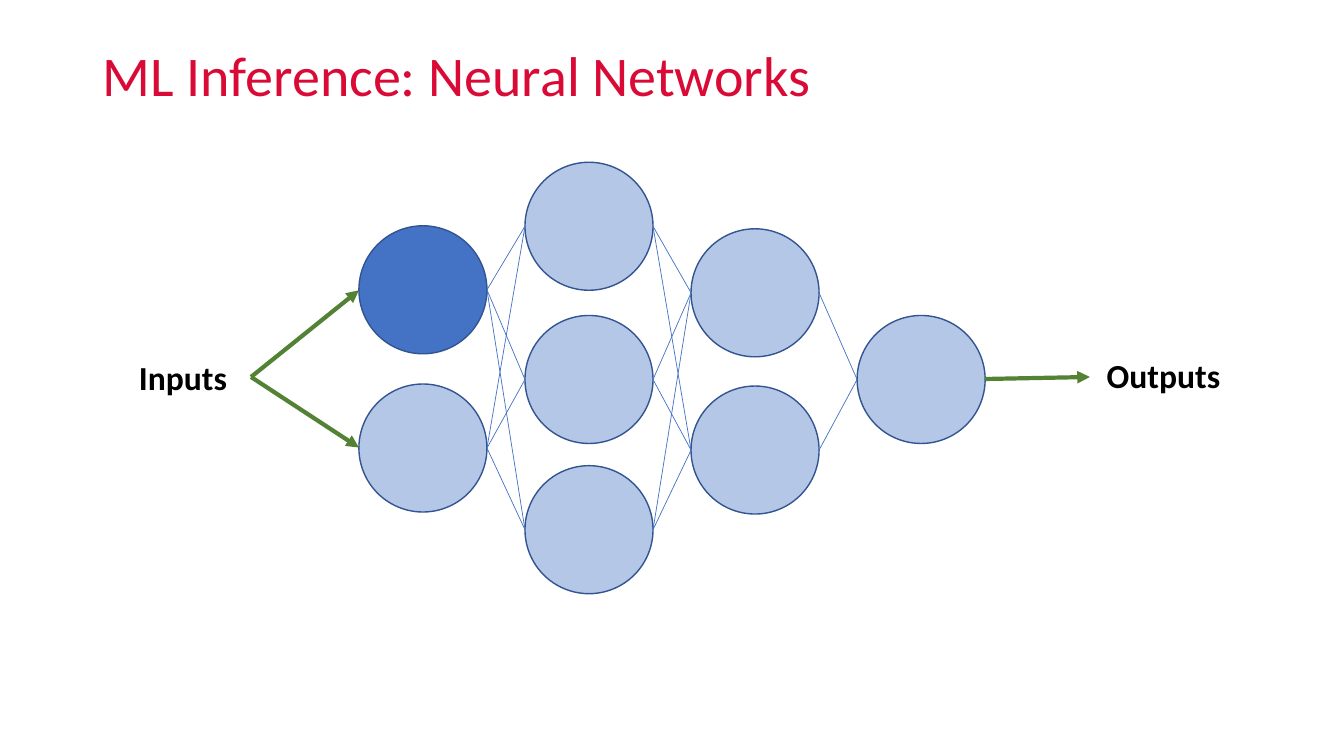
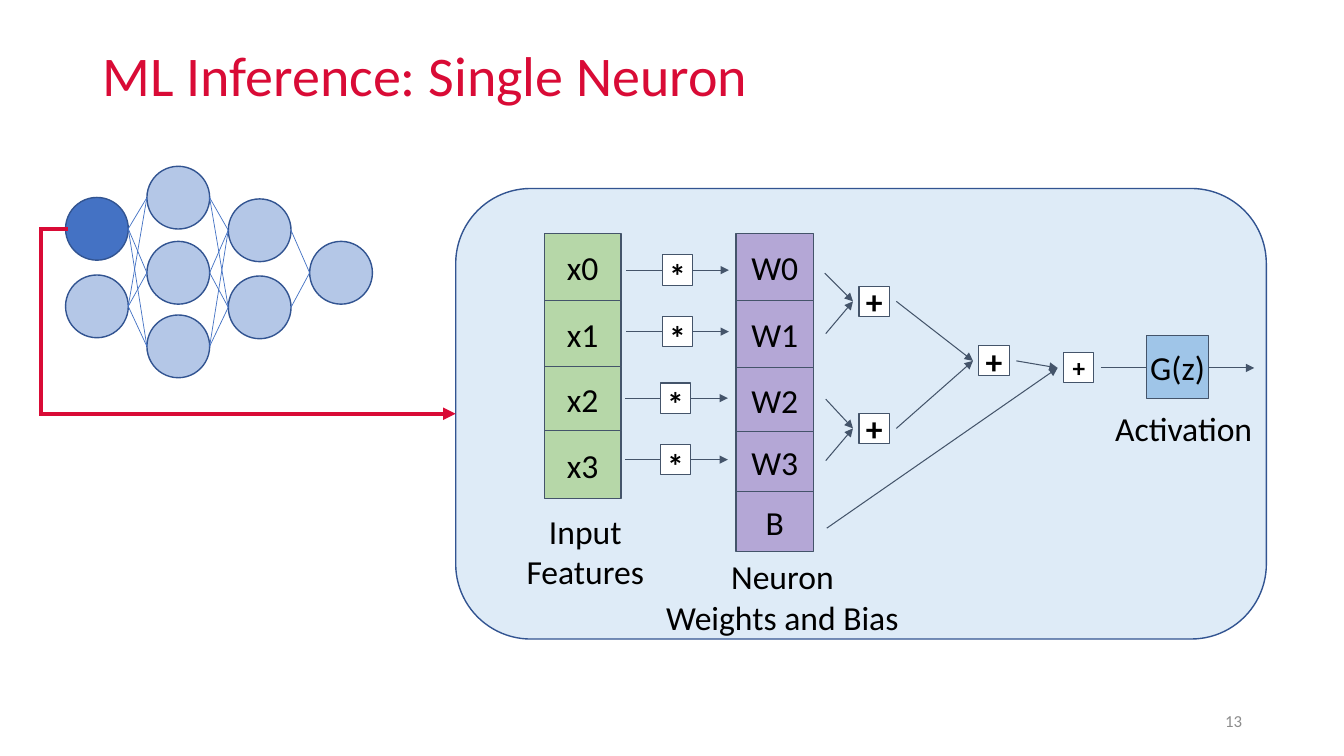
"""Build two slides that explain neural network inference and a single neuron."""
import itertools

import pptx
import pptx.dml.color
import pptx.enum.shapes
import pptx.enum.text
import pptx.oxml.ns
import pptx.util
from lxml import etree

hex_colour = pptx.dml.color.RGBColor.from_string
shape_kind = pptx.enum.shapes.MSO_SHAPE
alignment = pptx.enum.text.PP_ALIGN
middle = pptx.enum.text.MSO_ANCHOR.MIDDLE

RED, GREEN, BLACK, GREY, WHITE = "D90B36", "548235", "000000", "8C8C8C", "FFFFFF"
NODE, ACTIVE_NODE, NODE_EDGE, SLATE = "B4C7E7", "4472C4", "325491", "44546A"
PANEL, INPUT, WEIGHT, ACTIVATION = "DEEBF7", "B6D7A8", "B4A7D6", "9FC5E8"
FONT = "Calibri"

presentation = pptx.Presentation()
presentation.slide_width = pptx.util.Inches(13.33)
presentation.slide_height = pptx.util.Inches(7.5)
CELL = presentation.slide_height / 75


def add_block(shapes, box, text="", kind=shape_kind.RECTANGLE, fill=None, edge=SLATE,
              edge_width=0.75, size=24, bold=False, colour=BLACK, align=alignment.CENTER):
    """Add a filled shape, or a text box when there is no fill, placed in grid cells."""
    left, top, width, height = (round(value * CELL) for value in box)
    if fill:
        shape = shapes.add_shape(kind, left, top, width, height)
        shape.shadow.inherit = False
        shape.fill.solid()
        shape.fill.fore_color.rgb = hex_colour(fill)
        shape.line.color.rgb = hex_colour(edge)
        shape.line.width = pptx.util.Pt(edge_width)
    else:
        shape = shapes.add_textbox(left, top, width, height)
    if text:
        frame = shape.text_frame
        frame.word_wrap = True
        frame.vertical_anchor = middle
        frame.margin_left = frame.margin_right = frame.margin_top = frame.margin_bottom = 0
        for number, words in enumerate(text.split("\n")):
            paragraph = frame.add_paragraph() if number else frame.paragraphs[0]
            paragraph.alignment = align
            run = paragraph.add_run()
            run.text = words
            run.font.name = FONT
            run.font.size = pptx.util.Pt(size)
            run.font.bold = bold
            run.font.color.rgb = hex_colour(colour)
    return shape


def add_line(shapes, start, end, colour=SLATE, width=0.75, arrow=True):
    """Add a straight connector between two grid points."""
    points = [round(value * CELL) for value in (*start, *end)]
    connector = shapes.add_connector(pptx.enum.shapes.MSO_CONNECTOR.STRAIGHT, *points)
    connector.line.color.rgb = hex_colour(colour)
    connector.line.width = pptx.util.Pt(width)
    properties = connector._element.spPr
    if arrow:
        etree.SubElement(properties.ln, pptx.oxml.ns.qn("a:tailEnd"), type="triangle")
    etree.SubElement(properties, pptx.oxml.ns.qn("a:effectLst"))
    return connector


DIAMETER, LAYER_PITCH = 12.7, 16.47
LAYER_TOPS = [[6.3, 22], [0, 15.2, 30.1], [6.6, 22.2], [15.2]]
slides = []
for title_text, network_left, network_top, scale in [
    ("ML Inference: Neural Networks", 35.6, 16.1, 1),
    ("ML Inference: Single Neuron", 6.5, 16.5, 0.49),
]:
    slide = presentation.slides.add_slide(presentation.slide_layouts[5])
    slides.append(slide)
    title = slide.shapes.title
    title.left, title.top = round(9.2 * CELL), round(4 * CELL)
    title.width, title.height = round(115 * CELL), round(7.5 * CELL)
    title.text_frame.vertical_anchor = middle
    paragraph = title.text_frame.paragraphs[0]
    paragraph.alignment = alignment.LEFT
    paragraph.line_spacing = 0.9
    run = paragraph.add_run()
    run.text = title_text
    run.font.name = FONT
    run.font.size = pptx.util.Pt(40)
    run.font.color.rgb = hex_colour(RED)

    network = slide.shapes.add_group_shape().shapes
    diameter = DIAMETER * scale
    layers = []
    for column, tops in enumerate(LAYER_TOPS):
        left = network_left + column * LAYER_PITCH * scale
        centres = []
        for row, node_top in enumerate(tops):
            top = network_top + node_top * scale
            fill = ACTIVE_NODE if column == row == 0 else NODE
            add_block(network, (left, top, diameter, diameter), kind=shape_kind.OVAL,
                      fill=fill, edge=NODE_EDGE, edge_width=1)
            centres.append(top + diameter / 2)
        layers.append((left, centres))
    for (left, sources), (next_left, targets) in zip(layers, layers[1:]):
        for source, target in itertools.product(sources, targets):
            add_line(network, (left + diameter, source), (next_left, target),
                     ACTIVE_NODE, 0.5, arrow=False)

network_slide, neuron_slide = slides

for start, end in [
    ((24.9, 37.4), (35.6, 28.8)),
    ((24.9, 37.4), (35.6, 44.4)),
    ((97.7, 37.6), (108.1, 37.4)),
]:
    add_line(network_slide.shapes, start, end, GREEN, 3)
add_block(network_slide.shapes, (12.7, 34.9, 10.9, 5), "Inputs", bold=True)
add_block(network_slide.shapes, (108.7, 34.7, 13.4, 5), "Outputs", bold=True)

neuron = neuron_slide.shapes.add_group_shape().shapes
panel = add_block(neuron, (45.2, 18.7, 80.4, 44.7), kind=shape_kind.ROUNDED_RECTANGLE,
                  fill=PANEL, edge=NODE_EDGE, edge_width=1)

for left, width, fill, labels, edges in [
    (54, 7.6, INPUT, ["x0", "x1", "x2", "x3"], [23.2, 29.8, 36.4, 42.7, 49.5]),
    (73, 7.7, WEIGHT, ["W0", "W1", "W2", "W3", "B"], [23.2, 29.8, 36.5, 42.8, 48.8, 54.7]),
]:
    for label, top, bottom in zip(labels, edges, edges[1:]):
        add_block(neuron, (left, top, width, bottom - top), label, fill=fill)

for box, caption in [
    ((48.9, 50.7, 18.3, 8), "Input\nFeatures"),
    ((62.1, 55.2, 31, 8), "Neuron\nWeights and Bias"),
    ((109.7, 40.5, 15.4, 4), "Activation"),
]:
    add_block(neuron, box, caption)

for start, end in [
    ((62.1, 26.8), (72.3, 26.8)),
    ((62.1, 32.9), (72.3, 32.9)),
    ((62, 39.5), (72.2, 39.5)),
    ((62, 45.6), (72.2, 45.6)),
    ((81.8, 27.1), (84.6, 29.9)),
    ((81.9, 33.1), (84.6, 29.9)),
    ((81.9, 39.6), (84.6, 42.5)),
    ((81.9, 45.7), (84.6, 42.5)),
    ((88.9, 29.9), (96.5, 35.8)),
    ((88.9, 42.5), (96.5, 35.8)),
    ((100.8, 35.8), (104.9, 36.5)),
    ((82, 52.4), (104.9, 36.5)),
    ((109.2, 36.5), (124.4, 36.5)),
]:
    add_line(neuron, start, end)

OPERATOR = 3
for symbol, left, top, size in [
    ("*", 65.7, 25.3, 24),
    ("*", 65.7, 31.4, 24),
    ("*", 65.5, 38, 24),
    ("*", 65.5, 44.1, 24),
    ("+", 85.2, 28.4, 24),
    ("+", 85.2, 41, 24),
    ("+", 97.1, 34.3, 24),
    ("+", 105.5, 35, 18),
]:
    operator = add_block(neuron, (left, top, OPERATOR, OPERATOR), symbol,
                         fill=WHITE, size=size, bold=True)
    if symbol == "*":
        operator.text_frame.margin_top = round(CELL)
add_block(neuron, (113.7, 33.3, 6.2, 6.2), "G(z)", fill=ACTIVATION)

route = [(6.5, 22.7), (4.1, 22.7), (4.1, 41.05), (45.2, 41.05)]
for start, end in zip(route, route[1:]):
    is_last = end == route[-1]
    segment = add_line(neuron_slide.shapes, start, end, RED, 3, arrow=is_last)
    segment._element.spPr.ln.set("cap", "sq")
    if is_last:
        segment.end_connect(panel, 1)

add_block(neuron_slide.shapes, (94.2, 69.5, 29, 4), "13", size=12, colour=GREY,
          align=alignment.RIGHT)

presentation.save("out.pptx")
